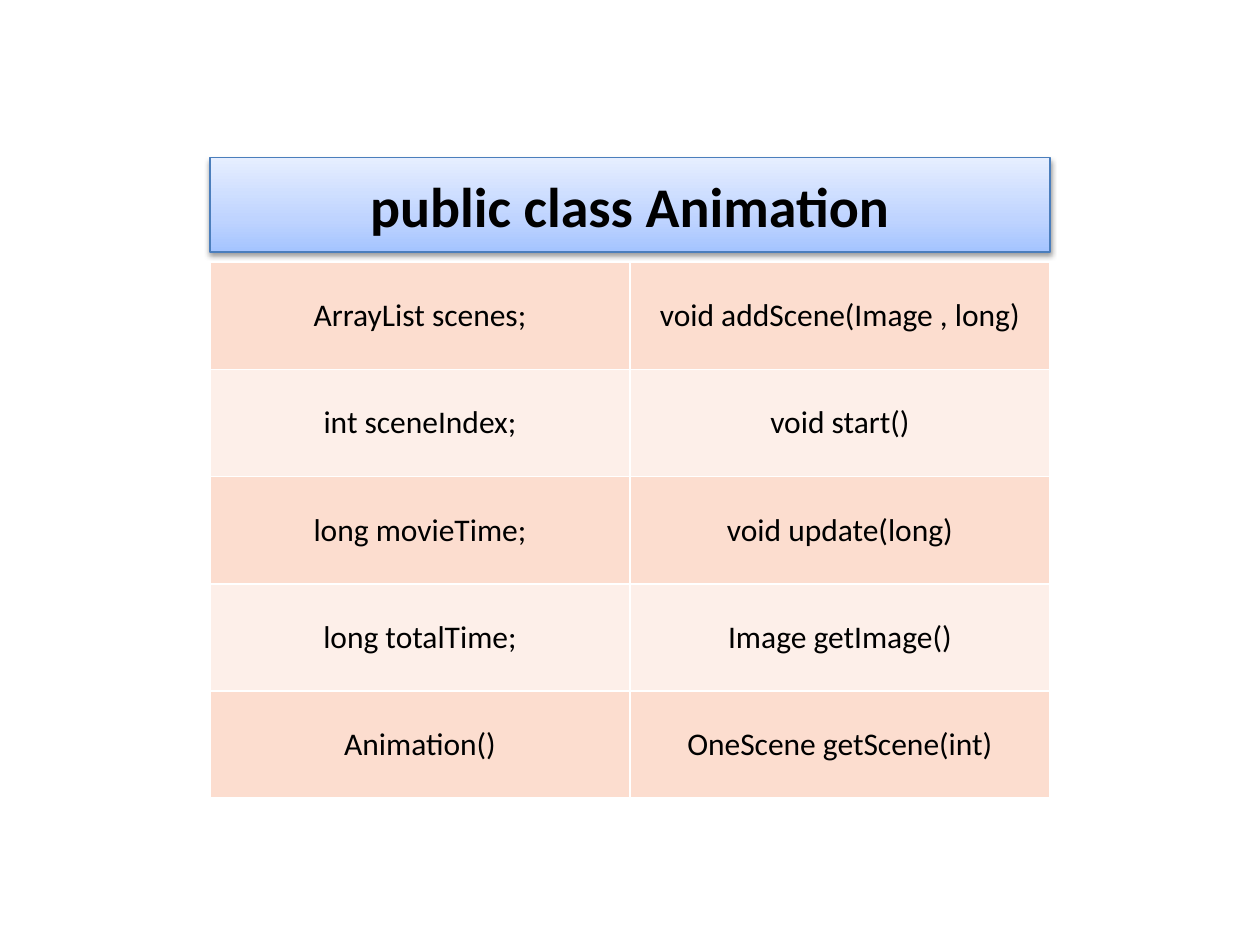
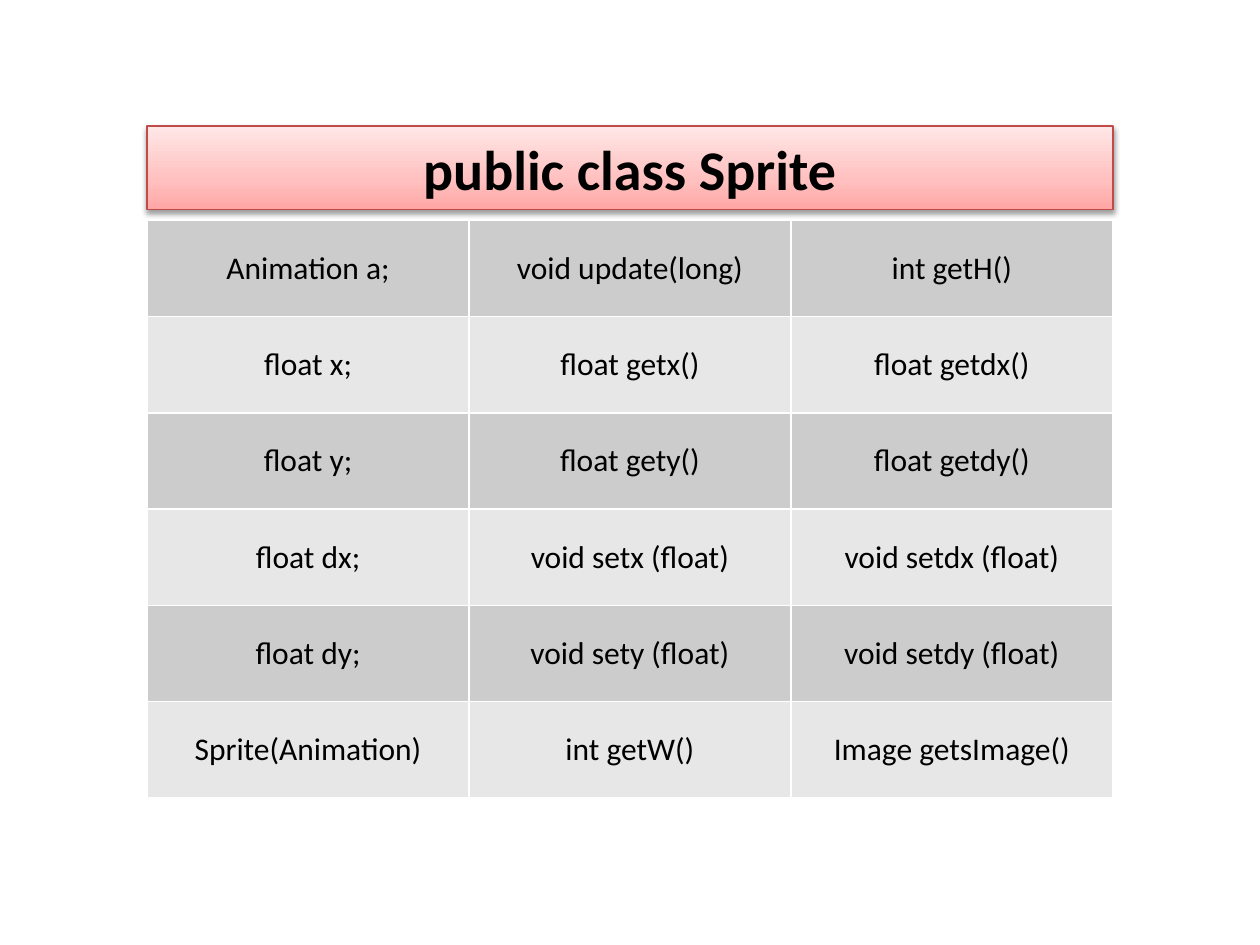
from lxml.etree import SubElement
from pptx import Presentation
from pptx.dml.color import RGBColor
from pptx.enum.text import MSO_ANCHOR as Anchor, MSO_AUTO_SIZE as AutoSize, PP_ALIGN as Align
from pptx.oxml import parse_xml
from pptx.oxml.ns import nsdecls, qn
from pptx.util import Cm, Pt

SLIDE_WIDTH, SLIDE_HEIGHT = 25.4, 19.05
MEMBERS_BOTTOM = 16.09
GAP = 0.21
FONT = "Calibri"
BLACK, WHITE = "000000", "FFFFFF"


def color(hex_code):
    return RGBColor.from_string(hex_code)


def write(frame, text, size, bold=False):
    line = frame.paragraphs[0]
    line.alignment = Align.CENTER
    run = line.add_run()
    run.text = text
    run.font.name = FONT
    run.font.size = Pt(size)
    run.font.bold = bold
    run.font.color.rgb = color(BLACK)


def shade(banner, stops):
    gradient = "".join(
        f'<a:gs pos="{share * 1000}"><a:srgbClr val="{tone}"/></a:gs>'
        for share, tone in zip((0, 35, 100), stops))
    properties = banner.element.spPr
    properties.append(parse_xml(
        f'<a:gradFill {nsdecls("a")} rotWithShape="1"><a:gsLst>{gradient}</a:gsLst>'
        '<a:lin ang="16200000" scaled="0"/></a:gradFill>'))


def cast_shadow(banner):
    banner.element.spPr.append(parse_xml(
        f'<a:effectLst {nsdecls("a")}><a:outerShdw blurRad="40000" dist="20000" '
        f'dir="5400000" rotWithShape="0"><a:srgbClr val="{BLACK}">'
        '<a:alpha val="38000"/></a:srgbClr></a:outerShdw></a:effectLst>'))


def add_class_name(slide, text, box, stops, outline):
    banner = slide.shapes.title
    banner.left, banner.top, banner.width, banner.height = map(Cm, box)
    shade(banner, stops)
    banner.line.color.rgb = color(outline)
    banner.line.width = Pt(0.75)
    cast_shadow(banner)
    frame = banner.text_frame
    frame.auto_size = AutoSize.NONE
    frame.vertical_anchor = Anchor.MIDDLE
    write(frame, text, 32, bold=True)


def border(cell):
    properties = cell._tc.get_or_add_tcPr()
    for side in ("a:lnL", "a:lnR", "a:lnT", "a:lnB"):
        edge = SubElement(properties, qn(side), w=str(Pt(1)))
        SubElement(SubElement(edge, qn("a:solidFill")), qn("a:srgbClr"), val=WHITE)


def add_members(slide, members, box, bands):
    left, top, width, height = box
    rows, columns = len(members), len(members[0])
    table = slide.shapes.add_table(rows, columns, *map(Cm, box)).table
    table.first_row = table.horz_banding = False
    for column in table.columns:
        column.width = Cm(width / columns)
    for row in table.rows:
        row.height = Cm(height / rows)
    for index, signatures in enumerate(members):
        for position, signature in enumerate(signatures):
            cell = table.cell(index, position)
            border(cell)
            cell.fill.solid()
            cell.fill.fore_color.rgb = color(bands[index % 2])
            cell.vertical_anchor = Anchor.MIDDLE
            write(cell.text_frame, signature, 18)


def add_class_slide(deck, name, members, top, width, banner_height, stops, outline, bands):
    slide = deck.slides.add_slide(deck.slide_layouts.get_by_name("Title Only"))
    left = (SLIDE_WIDTH - width) / 2
    members_top = top + banner_height + GAP
    add_class_name(slide, name, (left, top, width, banner_height), stops, outline)
    add_members(slide, members,
                (left, members_top, width, MEMBERS_BOTTOM - members_top), bands)


deck = Presentation()
deck.slide_width, deck.slide_height = Cm(SLIDE_WIDTH), Cm(SLIDE_HEIGHT)

add_class_slide(
    deck, "public class Animation",
    [("ArrayList scenes;", "void addScene(Image , long)"),
     ("int sceneIndex;", "void start()"),
     ("long movieTime;", "void update(long)"),
     ("long totalTime;", "Image getImage()"),
     ("Animation()", "OneScene getScene(int)")],
    top=3.18, width=16.93, banner_height=1.9,
    stops=("A4C4FF", "BFD4FF", "E6EEFF"), outline="4B7EBC", bands=("FCDDCF", "FDEFE9"))

add_class_slide(
    deck, "public class Sprite",
    [("Animation a;", "void update(long)", "int getH()"),
     ("float x;", "float getx()", "float getdx()"),
     ("float y;", "float gety()", "float getdy()"),
     ("float dx;", "void setx (float)", "void setdx (float)"),
     ("float dy;", "void sety (float)", "void setdy (float)"),
     ("Sprite(Animation)", "int getW()", "Image getsImage()")],
    top=2.54, width=19.47, banner_height=1.69,
    stops=("FFA6A5", "FFC0BF", "FFE7E7"), outline="BF4C48", bands=("CCCCCC", "E7E7E7"))

deck.save("out.pptx")
